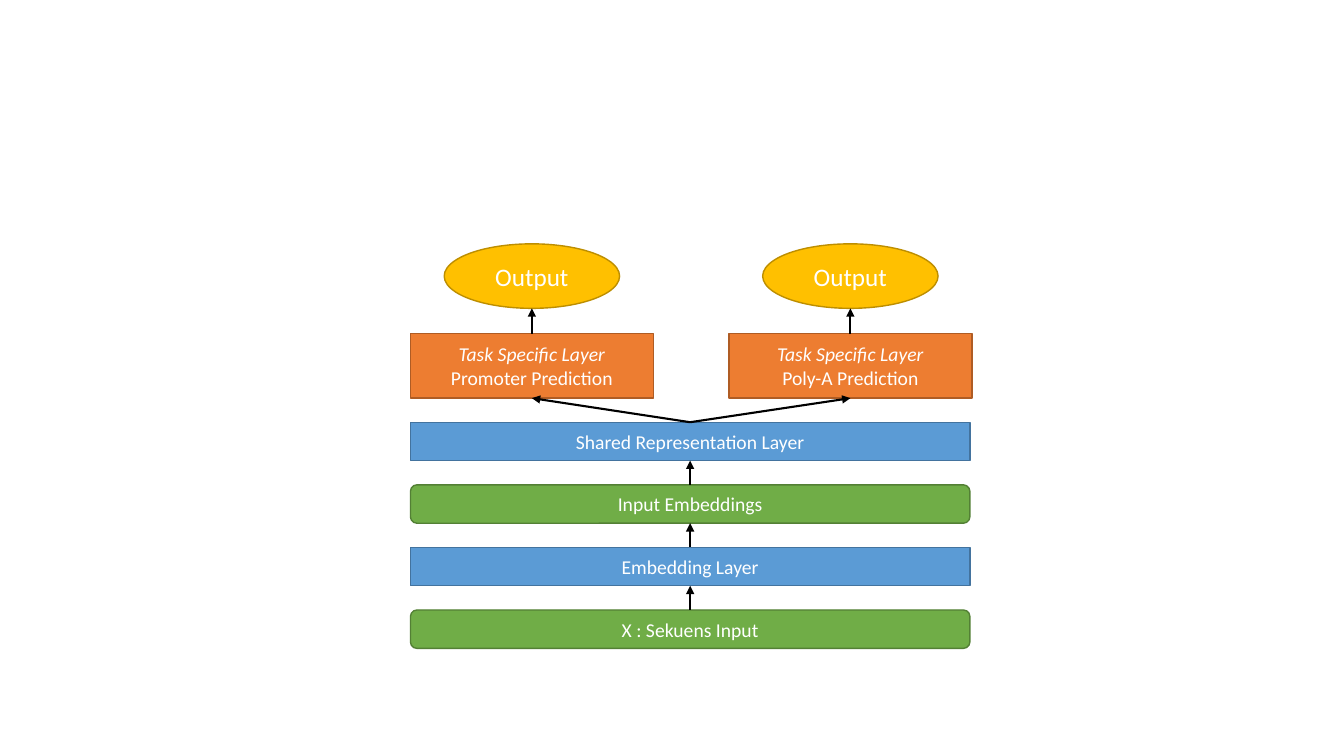
from pptx import Presentation
from pptx.dml.color import RGBColor
from pptx.enum.shapes import MSO_CONNECTOR, MSO_SHAPE
from pptx.enum.text import MSO_ANCHOR, PP_ALIGN
from pptx.oxml.ns import qn
from pptx.util import Pt
from lxml.etree import SubElement

BLUE = ("5B9BD5", "43739E")
GREEN = ("70AD47", "538035")
ORANGE = ("ED7D31", "AF5C24")
GOLD = ("FFC000", "BD8E00")

LAYER_LEFT, LAYER_TOP, LAYER_WIDTH, LAYER_HEIGHT = 293.2, 301.6, 399.6, 27.4
LAYER_PITCH = 44.7
TASK_TOP, TASK_WIDTH = 238.3, 173.5
TASK_PITCH = 227.5
OUTPUT_TOP, OUTPUT_WIDTH = 174.2, 125.3
HEAD_HEIGHT = 46.1  # shared by task boxes and outputs

LAYERS = [  # top to bottom
    ("Shared Representation Layer", MSO_SHAPE.RECTANGLE, BLUE),
    ("Input Embeddings", MSO_SHAPE.ROUNDED_RECTANGLE, GREEN),
    ("Embedding Layer", MSO_SHAPE.RECTANGLE, BLUE),
    ("X : Sekuens Input", MSO_SHAPE.ROUNDED_RECTANGLE, GREEN),
]
TASKS = ["Promoter Prediction", "Poly-A Prediction"]


def rgb(value):
    return RGBColor.from_string(value)


def add_text(paragraph, text, size=14, color="FFFFFF", italic=False):
    paragraph.alignment = PP_ALIGN.CENTER
    run = paragraph.add_run()
    run.text = text
    run.font.name = "Calibri"
    run.font.size = Pt(size)
    run.font.italic = italic
    run.font.color.rgb = rgb(color)


def add_node(slide, kind, left, top, width, height, colors):
    node = slide.shapes.add_shape(kind, Pt(left), Pt(top), Pt(width), Pt(height))
    node.shadow.inherit = False
    fill, outline = colors
    node.fill.solid()
    node.fill.fore_color.rgb = rgb(fill)
    node.line.color.rgb = rgb(outline)
    node.line.width = Pt(1)
    node.text_frame.word_wrap = True
    node.text_frame.vertical_anchor = MSO_ANCHOR.MIDDLE
    return node


def add_arrow(slide, source, target):
    """Arrow from the top centre of source to the bottom centre of target."""
    arrow = slide.shapes.add_connector(
        MSO_CONNECTOR.STRAIGHT,
        source.left + source.width // 2, source.top,
        target.left + target.width // 2, target.top + target.height)
    arrow.line.color.rgb = rgb("000000")
    arrow.line.width = Pt(1.5)
    SubElement(arrow.line._get_or_add_ln(), qn("a:tailEnd"), type="triangle")
    SubElement(arrow._element.spPr, qn("a:effectLst"))


def add_layers(slide):
    """Stack the shared layers and return the topmost one."""
    layers = []
    for row, (label, kind, colors) in enumerate(LAYERS):
        layer = add_node(slide, kind, LAYER_LEFT, LAYER_TOP + row * LAYER_PITCH,
                         LAYER_WIDTH, LAYER_HEIGHT, colors)
        add_text(layer.text_frame.paragraphs[0], label)
        layers.append(layer)
    for upper, lower in zip(layers, layers[1:]):
        add_arrow(slide, lower, upper)
    return layers[0]


def add_task(slide, left, prediction, shared_layer):
    task = add_node(slide, MSO_SHAPE.RECTANGLE, left, TASK_TOP,
                    TASK_WIDTH, HEAD_HEIGHT, ORANGE)
    add_text(task.text_frame.paragraphs[0], "Task Specific Layer", italic=True)
    add_text(task.text_frame.add_paragraph(), prediction)

    output_left = left + (TASK_WIDTH - OUTPUT_WIDTH) / 2
    output = add_node(slide, MSO_SHAPE.OVAL, output_left, OUTPUT_TOP,
                      OUTPUT_WIDTH, HEAD_HEIGHT, GOLD)
    add_text(output.text_frame.paragraphs[0], "Output", size=18)

    add_arrow(slide, shared_layer, task)
    add_arrow(slide, task, output)


def main():
    deck = Presentation()
    deck.slide_width, deck.slide_height = Pt(960), Pt(540)
    slide = deck.slides.add_slide(deck.slide_layouts[6])
    shared_layer = add_layers(slide)
    for column, prediction in enumerate(TASKS):
        add_task(slide, LAYER_LEFT + column * TASK_PITCH, prediction, shared_layer)
    deck.save("out.pptx")


if __name__ == "__main__":
    main()
